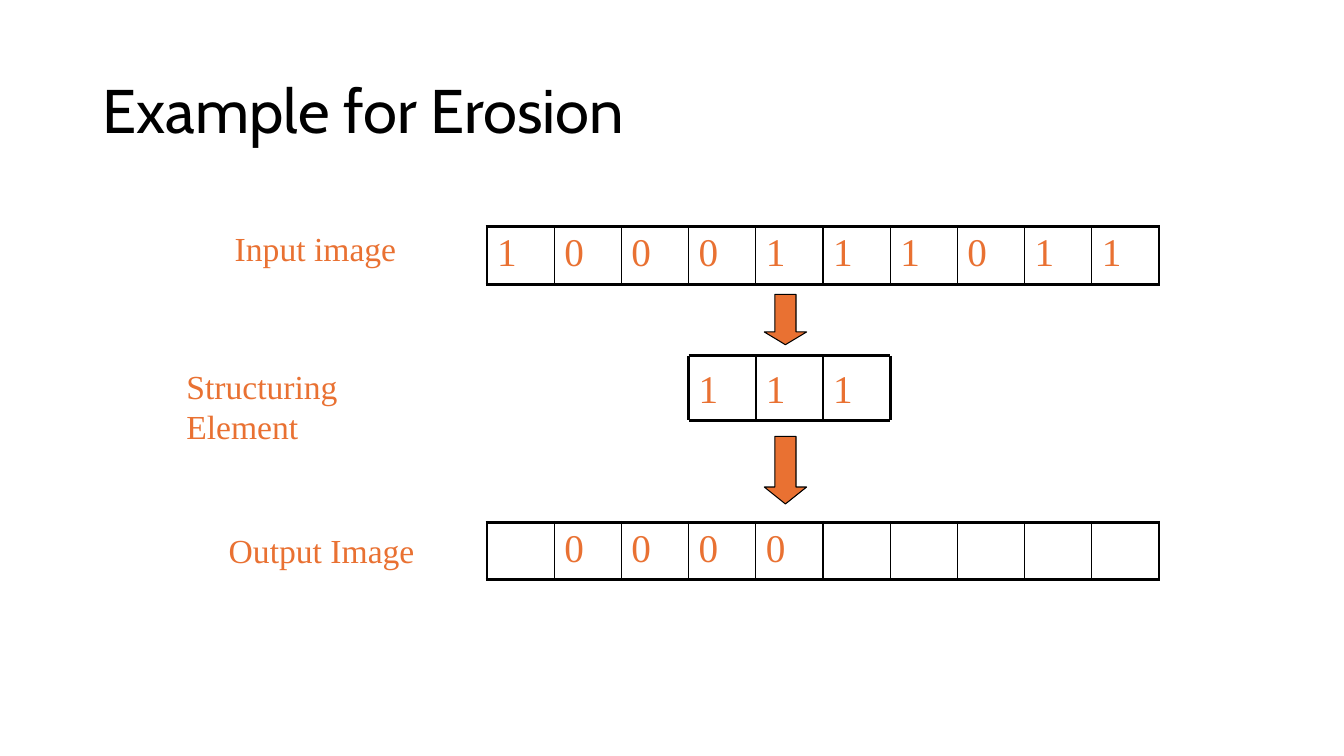
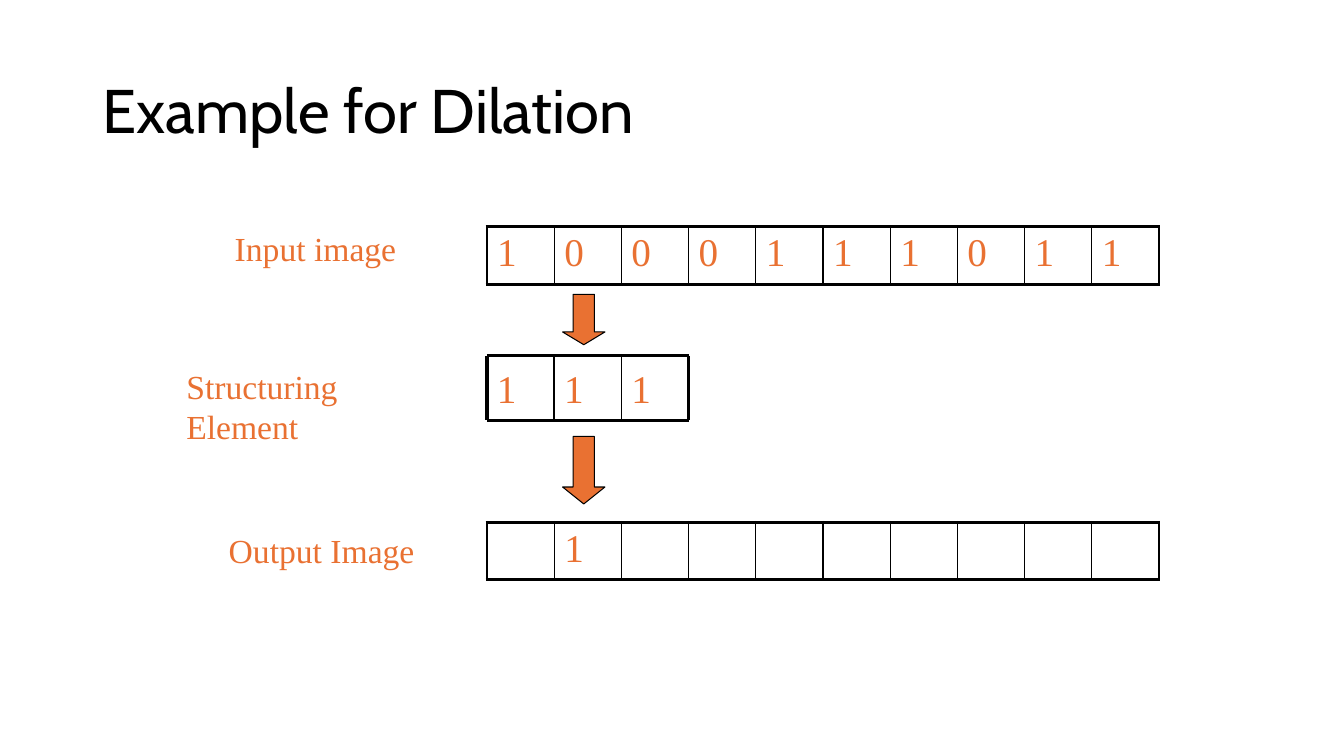
from dataclasses import dataclass
from typing import Any

from lxml import etree
from pptx import Presentation
from pptx import util as u
from pptx.dml import color as dml
from pptx.enum import shapes as es, text as et
from pptx.oxml import ns

# Shared look
COLORS = {"ink": "000000", "accent": "E97132", "paper": "FFFFFF"}
SERIF = "Times New Roman"
TITLE = {"name": "Cabin", "size": u.Pt(44), "bold": False}
DIGIT = {"name": SERIF, "size": u.Pt(28)}
LABEL = {"name": SERIF, "size": u.Pt(24)}
THICK, THIN, EDGE = 2.25, 1, 0.75

# Shared grid, in inches
LEFT, CELL, COUNT = 4.83, 2 / 3, 10
ROW = 0.57
IN_TOP, OUT_TOP = 2.25, 5.18
KERN_TOP, KERN_H = 3.53, 0.64
ARROW_W = 0.42
INPUT = "1000111011"
KERNEL = "111"


@dataclass(frozen=True)
class Label:
    words: str
    left: float
    top: float
    width: float


@dataclass(frozen=True)
class Arrow:
    top: float
    height: float
    head: float


@dataclass(frozen=True)
class Example:
    title: str
    shift: int  # first input cell under the structuring element
    output: str


LABELS = (
    Label("Input image", 2.23, 2.21, 1.8),
    Label("Structuring Element", 1.75, 3.58, 2.89),
    Label("Output Image", 2.17, 5.21, 2.04),
)
ARROWS = (Arrow(4.33, 0.67, 0.4), Arrow(2.92, 0.5, 0.3))
EXAMPLES = (
    Example("Example for Erosion", 3, " 0000     "),
    Example("Example for Dilation", 0, " 1        "),
)


def rgb(key: str) -> dml.RGBColor:
    return dml.RGBColor.from_string(COLORS[key])


def apply(item: Any, form: dict[str, Any]) -> None:
    for key, value in form.items():
        setattr(item, key, value)


def write(frame: Any, words: str, form: dict[str, Any], key: str) -> None:
    run = frame.paragraphs[0].add_run()
    run.text = words
    apply(run.font, form)
    run.font.color.rgb = rgb(key)


def box(shapes: Any, words: str, at: tuple[float, ...],
        font: dict[str, Any], form: dict[str, Any]) -> None:
    frame = shapes.add_textbox(*map(u.Inches, at)).text_frame
    apply(frame, form)
    write(frame, words, font, "accent")


def border(cell: Any, widths: dict[str, float]) -> None:
    """Put the side lines ahead of the fill, as the schema asks."""
    props = cell._tc.get_or_add_tcPr()
    for place, (side, width) in enumerate(widths.items()):
        line = etree.Element(ns.qn(f"a:ln{side}"), w=str(u.Pt(width)))
        fill = etree.SubElement(line, ns.qn("a:solidFill"))
        etree.SubElement(fill, ns.qn("a:srgbClr"), val=COLORS["ink"])
        props.insert(place, line)


def strip(slide: Any, top: float, bits: str) -> None:
    """Draw one row of pixels as a table."""
    table = slide.shapes.add_table(
        1, COUNT, u.Inches(LEFT), u.Inches(top),
        u.Inches(COUNT * CELL), u.Inches(ROW)).table
    apply(table, {"first_row": False, "horz_banding": False})
    for col, bit in enumerate(bits):
        table.columns[col].width = u.Inches(CELL)
        cell = table.cell(0, col)
        cell.fill.background()
        border(cell, {
            "L": THICK if col == 0 else THIN,
            "R": THICK if col == COUNT - 1 else THIN,
            "T": THICK,
            "B": THICK,
        })
        if bit.strip():
            write(cell.text_frame, bit, DIGIT, "accent")


def rule(shapes: Any, x1: float, y1: float, x2: float, y2: float,
         width: float) -> None:
    line = shapes.add_connector(es.MSO_CONNECTOR.STRAIGHT,
                                *map(u.Inches, (x1, y1, x2, y2)))
    line.line.color.rgb = rgb("ink")
    line.line.width = u.Pt(width)
    etree.SubElement(line._element.spPr, ns.qn("a:effectLst"))


def kernel(shapes: Any, left: float) -> None:
    """Draw the structuring element: digits, then its ruled frame."""
    size = len(KERNEL)
    right, base = left + size * CELL, KERN_TOP + KERN_H
    for col, bit in enumerate(KERNEL):
        box(shapes, bit, (left + col * CELL, KERN_TOP, CELL, KERN_H), DIGIT,
            {"word_wrap": True, "margin_top": u.Inches(0.08)})
    for y in (KERN_TOP, base):
        rule(shapes, left, y, right, y, THICK)
    for col in range(size + 1):
        x = left + col * CELL
        rule(shapes, x, KERN_TOP, x, base,
             THICK if col in (0, size) else THIN)


def arrow(shapes: Any, spec: Arrow, left: float) -> None:
    shape = shapes.add_shape(
        es.MSO_SHAPE.DOWN_ARROW,
        *map(u.Inches, (left, spec.top, ARROW_W, spec.height)))
    shape.adjustments[0], shape.adjustments[1] = 0.5, spec.head
    shape.shadow.inherit = False
    shape.fill.solid()
    shape.fill.fore_color.rgb = rgb("accent")
    shape.line.color.rgb = rgb("ink")
    shape.line.width = u.Pt(EDGE)


def heading(slide: Any, words: str) -> None:
    title = slide.shapes.title
    apply(title, {"left": u.Inches(0.92), "top": u.Inches(0.4),
                  "width": u.Inches(11.5), "height": u.Inches(1.45)})
    frame = title.text_frame
    frame.vertical_anchor = et.MSO_ANCHOR.MIDDLE
    apply(frame.paragraphs[0],
          {"alignment": et.PP_ALIGN.LEFT, "line_spacing": 0.9})
    write(frame, words, TITLE, "ink")


def draw(deck: Any, show: Example) -> None:
    slide = deck.slides.add_slide(deck.slide_layouts[5])
    slide.background.fill.solid()
    slide.background.fill.fore_color.rgb = rgb("paper")
    heading(slide, show.title)

    # Pixel rows and their labels
    strip(slide, IN_TOP, INPUT)
    strip(slide, OUT_TOP, show.output)
    for tag in LABELS:
        box(slide.shapes, tag.words, (tag.left, tag.top, tag.width, 0.5),
            LABEL, {"word_wrap": False,
                    "auto_size": et.MSO_AUTO_SIZE.SHAPE_TO_FIT_TEXT})

    # Structuring element with its arrows
    group = slide.shapes.add_group_shape().shapes
    left = LEFT + show.shift * CELL
    kernel(group, left)
    for item in ARROWS:
        arrow(group, item, left + 0.75)


def main() -> None:
    deck = Presentation()
    apply(deck, {"slide_width": u.Inches(13.33),
                 "slide_height": u.Inches(7.5)})
    for show in EXAMPLES:
        draw(deck, show)
    deck.save("out.pptx")


if __name__ == "__main__":
    main()
